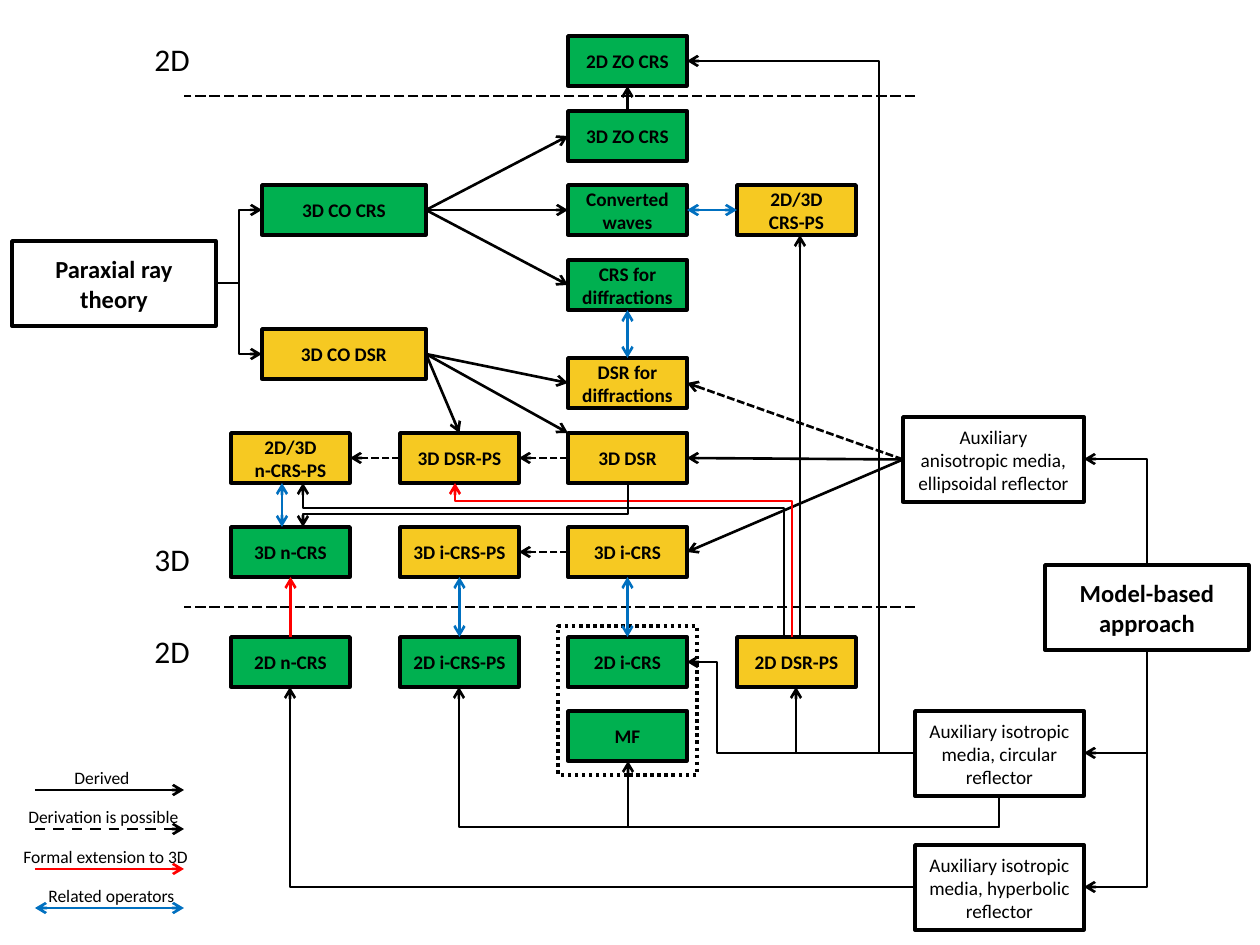
from lxml import etree
from pptx import Presentation
from pptx.dml.color import RGBColor
from pptx.enum.dml import MSO_LINE
from pptx.enum.shapes import MSO_CONNECTOR, MSO_SHAPE
from pptx.enum.text import MSO_ANCHOR, PP_ALIGN
from pptx.oxml.ns import qn
from pptx.util import Pt

SCALE = 914400 / 126
STRAIGHT = MSO_CONNECTOR.STRAIGHT
RECTANGLE = MSO_SHAPE.RECTANGLE
DASH, LONG_DASH = MSO_LINE.DASH, MSO_LINE.LONG_DASH
SHORT_DASH, DOTS = MSO_LINE.SQUARE_DOT, MSO_LINE.ROUND_DOT
MIDDLE, CENTER = MSO_ANCHOR.MIDDLE, PP_ALIGN.CENTER
TOP, LEFT, BOTTOM, RIGHT = range(4)
BLACK, RED, BLUE = "000000", "FF0000", "0070C0"
GREEN, YELLOW = "00B050", "F6C922"

deck = Presentation()
deck.slide_width, deck.slide_height = round(1260 * SCALE), round(945 * SCALE)
page = deck.slides.add_slide(deck.slide_layouts[6])


def add_box(left, top, width, height, lines=(), fill=None, size=11, bold=True):
    box = page.shapes.add_shape(
        RECTANGLE, *(round(v * SCALE) for v in (left, top, width, height)))
    box.shadow.inherit = False
    if fill:
        box.fill.solid()
        box.fill.fore_color.rgb = RGBColor.from_string(fill)
    else:
        box.fill.background()
    box.line.color.rgb = RGBColor.from_string(BLACK)
    box.line.width = Pt(2)
    frame = box.text_frame
    frame.word_wrap = True
    frame.vertical_anchor = MIDDLE
    for number, text in enumerate(lines):
        para = frame.add_paragraph() if number else frame.paragraphs[0]
        para.alignment = CENTER
        span = para.add_run()
        span.text = text
        span.font.name, span.font.size, span.font.bold = "Calibri", Pt(size), bold
        span.font.color.rgb = RGBColor.from_string(BLACK)
    return box


def draw_line(points, color=BLACK, dash=None, heads=1, width=1.5):
    """Draw a connector for two points, a bent path for more; heads is 0, 1 or 2."""
    if len(points) == 2:
        line = page.shapes.add_connector(
            STRAIGHT, *(round(v * SCALE) for point in points for v in point))
    else:
        builder = page.shapes.build_freeform(*points[0], scale=SCALE)
        builder.add_line_segments(points[1:], close=False)
        line = builder.convert_to_shape()
        line.fill.background()
    line.line.color.rgb = RGBColor.from_string(color)
    line.line.width = Pt(width)
    if dash:
        line.line.dash_style = dash
    properties = line._element.spPr
    for tag in ("a:headEnd", "a:tailEnd")[2 - heads:] if heads < 2 else ("a:headEnd", "a:tailEnd"):
        if heads == 2 or tag == "a:tailEnd":
            etree.SubElement(properties.find(qn("a:ln")), qn(tag), type="arrow")
    etree.SubElement(properties, qn("a:effectLst"))
    return line


# Dividers between the 2D and 3D zones
for y in (96, 607):
    draw_line([(915, y), (184, y)], dash=LONG_DASH, heads=0, width=0.75)

# Operators: column, top, fill, text lines
columns = (231, 400, 568, 737)
operators = {
    "2D ZO": (2, 36, GREEN, ["2D ZO CRS"]),
    "3D ZO": (2, 111, GREEN, ["3D ZO CRS"]),
    "converted": (2, 185, GREEN, ["Converted waves"]),
    "CRS-PS": (3, 185, YELLOW, ["2D/3D", "CRS-PS"]),
    "CRS diffractions": (2, 260, GREEN, ["CRS for diffractions"]),
    "DSR diffractions": (2, 358, YELLOW, ["DSR for diffractions"]),
    "n-CRS-PS": (0, 433, YELLOW, ["2D/3D", "n-CRS-PS"]),
    "3D DSR-PS": (1, 433, YELLOW, ["3D DSR-PS"]),
    "3D DSR": (2, 433, YELLOW, ["3D DSR"]),
    "3D n-CRS": (0, 527, GREEN, ["3D n-CRS"]),
    "3D i-CRS-PS": (1, 527, YELLOW, ["3D i-CRS-PS"]),
    "3D i-CRS": (2, 527, YELLOW, ["3D i-CRS"]),
    "2D n-CRS": (0, 637, GREEN, ["2D n-CRS"]),
    "2D i-CRS-PS": (1, 637, GREEN, ["2D i-CRS-PS"]),
    "2D i-CRS": (2, 637, GREEN, ["2D i-CRS"]),
    "2D DSR-PS": (3, 637, YELLOW, ["2D DSR-PS"]),
    "MF": (2, 711, GREEN, ["MF"]),
}
boxes = {name: add_box(columns[column], top, 119, 50, lines, fill)
         for name, (column, top, fill, lines) in operators.items()}
boxes["CO CRS"] = add_box(262, 185, 164, 50, ["3D CO CRS"], GREEN)
boxes["CO DSR"] = add_box(262, 329, 164, 50, ["3D CO DSR"], YELLOW)

# Theories and auxiliary media
add_box(12, 241, 204, 85, ["Paraxial ray theory"], size=14)
add_box(1045, 565, 204, 85, ["Model-based approach"], size=14)
boxes["anisotropic"] = add_box(
    903, 417, 181, 85, ["Auxiliary anisotropic media,", "ellipsoidal reflector"], bold=False)
for top, reflector in ((711, "circular"), (845, "hyperbolic")):
    add_box(915, top, 169, 85, [f"Auxiliary isotropic media, {reflector} reflector"], bold=False)
group = add_box(558, 626, 139, 149)
group.line.dash_style = DOTS

# Straight links: source, side, target, side, colour, dash, heads
derived, possible = (BLACK, None, 1), (BLACK, SHORT_DASH, 1)
extension, related = (RED, None, 1), (BLUE, None, 2)
links = [
    ("CO CRS", RIGHT, "3D ZO", LEFT, derived),
    ("CO CRS", RIGHT, "converted", LEFT, derived),
    ("CO CRS", RIGHT, "CRS diffractions", LEFT, derived),
    ("CO DSR", RIGHT, "DSR diffractions", LEFT, derived),
    ("CO DSR", RIGHT, "3D DSR-PS", TOP, derived),
    ("3D ZO", TOP, "2D ZO", BOTTOM, derived),
    ("anisotropic", LEFT, "3D DSR", RIGHT, derived),
    ("anisotropic", LEFT, "3D i-CRS", RIGHT, derived),
    ("anisotropic", LEFT, "DSR diffractions", RIGHT, possible),
    ("3D DSR", LEFT, "3D DSR-PS", RIGHT, possible),
    ("3D DSR-PS", LEFT, "n-CRS-PS", RIGHT, possible),
    ("3D i-CRS", LEFT, "3D i-CRS-PS", RIGHT, possible),
    ("2D n-CRS", TOP, "3D n-CRS", BOTTOM, extension),
    ("3D i-CRS", BOTTOM, "2D i-CRS", TOP, related),
    ("DSR diffractions", TOP, "CRS diffractions", BOTTOM, related),
    ("2D i-CRS-PS", TOP, "3D i-CRS-PS", BOTTOM, related),
    ("converted", RIGHT, "CRS-PS", LEFT, related),
]
for source, source_side, target, target_side, look in links:
    link = draw_line([(0, 0), (1, 1)], *look)
    link.begin_connect(boxes[source], source_side)
    link.end_connect(boxes[target], target_side)

# Links with free ends
draw_line([(426, 354), (568, 433)])
draw_line([(800, 637), (800, 235)])
draw_line([(282, 483), (282, 527)], *related)

# Bent links
for y in (210, 354):
    draw_line([(216, 283), (239, 283), (239, y), (262, y)])
for start, y in ((565, 459), (650, 753), (650, 887)):
    draw_line([(1147, start), (1147, y), (1084, y)])
for x, y in ((717, 662), (879, 61)):
    draw_line([(915, 753), (x, 753), (x, y), (687, y)])
draw_line([(915, 753), (796, 753), (796, 687)])
draw_line([(915, 887), (290, 887), (290, 687)])
for x, y in ((459, 687), (628, 761)):
    draw_line([(999, 796), (999, 827), (x, 827), (x, y)])
draw_line([(792, 637), (792, 501), (455, 501), (455, 483)], *extension)
draw_line([(784, 637), (784, 508), (303, 508), (303, 483)])
draw_line([(628, 483), (628, 514), (303, 514), (303, 527)])

# Legend: line height, text left and width, text, look
legend = [
    (790, 62, 82, "Derived", derived),
    (829, 16, 178, "Derivation is possible", (BLACK, DASH, 1)),
    (869, 11, 193, "Formal extension to 3D", extension),
    (908, 36, 155, "Related operators", related),
]
labels = [(142, top, 62, 50, text, 18) for top, text in ((34, "2D"), (534, "3D"), (626, "2D"))]
for y, left, width, text, look in legend:
    draw_line([(35, y), (184, y)], *look)
    labels.append((left, y - 29, width, 34, text, 10))

for *place, text, size in labels:
    label = page.shapes.add_textbox(*(round(v * SCALE) for v in place))
    label.text_frame.word_wrap = False
    span = label.text_frame.paragraphs[0].add_run()
    span.text = text
    span.font.name, span.font.size = "Calibri", Pt(size)
    span.font.color.rgb = RGBColor.from_string(BLACK)

deck.save("out.pptx")
